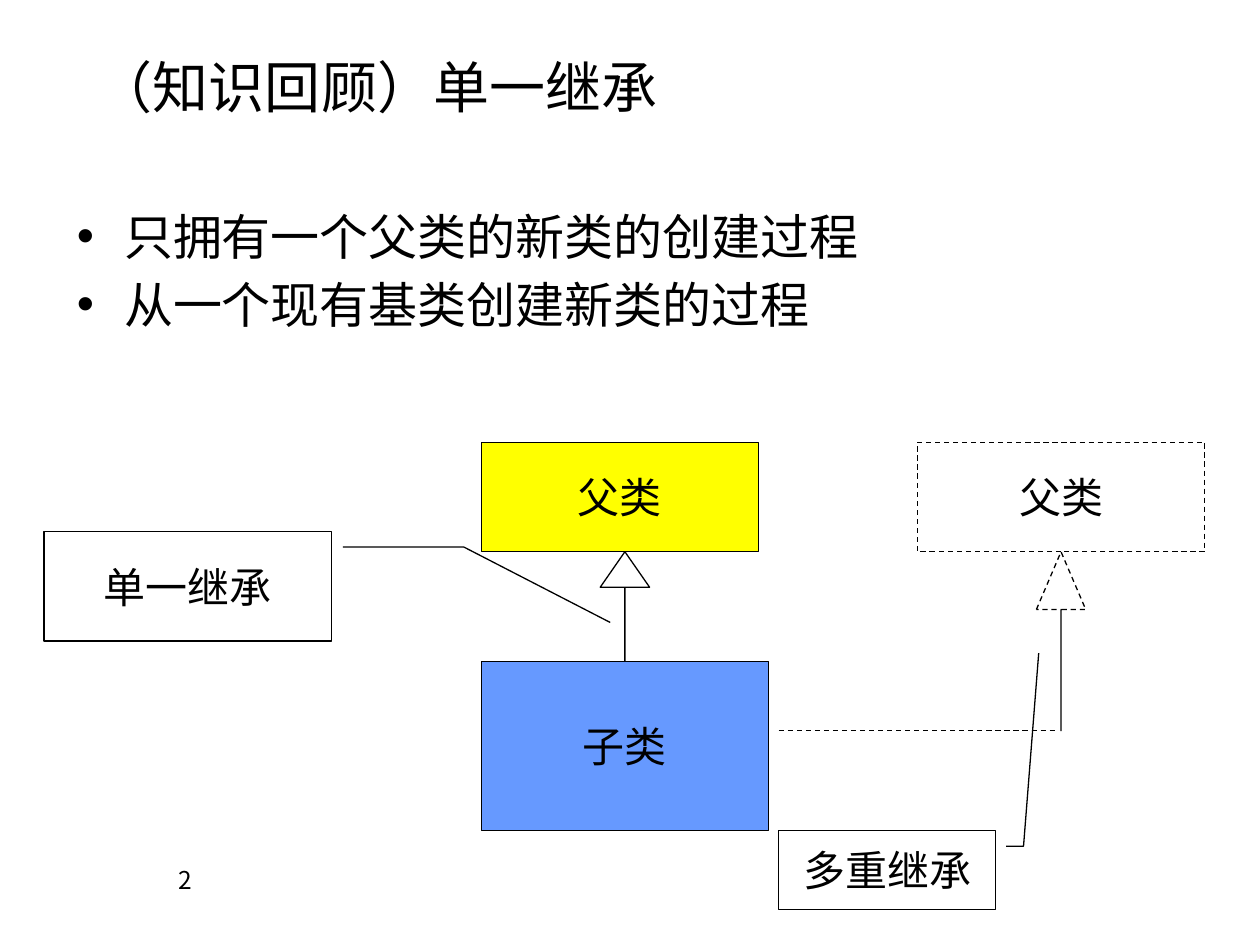
from lxml.etree import SubElement
from pptx import Presentation
from pptx.dml.color import RGBColor
from pptx.enum.dml import MSO_LINE as Dash
from pptx.enum.shapes import MSO_CONNECTOR as Link, MSO_SHAPE as Kind
from pptx.enum.text import MSO_ANCHOR as Anchor, MSO_AUTO_SIZE as Fit, PP_ALIGN as Align
from pptx.oxml.ns import qn
from pptx.util import Pt

BLACK = RGBColor(0, 0, 0)
YELLOW = RGBColor(0xFF, 0xFF, 0)
BLUE = RGBColor(0x66, 0x99, 0xFF)


class Page:
    face = "Noto Sans CJK SC"
    thin = 0.75

    def __init__(self, deck):
        self.slide = deck.slides.add_slide(deck.slide_layouts[1])
        self.shapes = self.slide.shapes

    def style(self, para, size, align):
        para.alignment = align
        for run in para.runs:
            font = run.font
            font.size, font.name = Pt(size), self.face
            font.color.rgb = BLACK
            SubElement(run._r.get_or_add_rPr(), qn("a:ea"), typeface=self.face)

    def place(self, item, left, top, width, height):
        item.left, item.top = Pt(left), Pt(top)
        item.width, item.height = Pt(width), Pt(height)

    def title(self, text, *area):
        item = self.shapes.title
        self.place(item, *area)
        frame = item.text_frame
        frame.text = text
        frame.auto_size, frame.vertical_anchor = Fit.NONE, Anchor.MIDDLE
        self.style(frame.paragraphs[0], 32, Align.LEFT)

    def body(self, lines, *area):
        item = self.slide.placeholders[1]
        self.place(item, *area)
        frame = item.text_frame
        frame.text = "\n".join(lines)
        frame.auto_size, frame.margin_top = Fit.NONE, Pt(6.5)
        for i, para in enumerate(frame.paragraphs):
            props = para._p.get_or_add_pPr()
            props.set("marL", str(Pt(27)))
            props.set("indent", str(Pt(-27)))
            SubElement(props, qn("a:buFont"), typeface="Arial")
            SubElement(props, qn("a:buChar"), char="•")
            para.line_spacing = Pt(33.3)
            para.space_before = Pt(5.6 if i else 0)
            self.style(para, 28, Align.LEFT)

    def note(self, text, *area):
        frame = self.shapes.add_textbox(*map(Pt, area)).text_frame
        frame.word_wrap = True
        frame.text = text
        self.style(frame.paragraphs[0], 14, Align.RIGHT)

    def pen(self, line, dash):
        line.color.rgb, line.width = BLACK, Pt(self.thin)
        if dash:
            line.dash_style = Dash.DASH

    def shape(self, kind, area, text="", fill=None, dash=False, adjust=()):
        item = self.shapes.add_shape(kind, *map(Pt, area))
        item.shadow.inherit = False
        if fill is None:
            item.fill.background()
        else:
            item.fill.solid()
            item.fill.fore_color.rgb = fill
        self.pen(item.line, dash)
        for i, value in enumerate(adjust):
            item.adjustments[i] = value
        if text:
            frame = item.text_frame
            frame.word_wrap, frame.vertical_anchor = False, Anchor.MIDDLE
            frame.text = text
            self.style(frame.paragraphs[0], 24, Align.CENTER)

    def line(self, *ends):
        item = self.shapes.add_connector(Link.STRAIGHT, *map(Pt, ends))
        self.pen(item.line, True)
        SubElement(item._element.spPr, qn("a:effectLst"))


def main():
    deck = Presentation()
    deck.slide_width, deck.slide_height = Pt(720), Pt(540)
    page = Page(deck)

    # Title, list and page number
    page.title("（知识回顾）单一继承", 48.2, 15.1, 617.8, 67.7)
    page.body(["只拥有一个父类的新类的创建过程", "从一个现有基类创建新类的过程"],
              36.7, 111.6, 635, 374.4)
    page.note("2", 14.4, 491, 102.2, 37.4)

    # Class boxes
    left, far, top, wide, high = 275, 524.2, 252.7, 164.2, 62.6
    base, low = top + high, 378
    page.shape(Kind.RECTANGLE, (left, top, 158.4, high), "父类", YELLOW)
    page.shape(Kind.RECTANGLE, (left, low, wide, 96.5), "子类", BLUE)
    page.shape(Kind.RECTANGLE, (far, top, wide, high), "父类", dash=True)

    # Inheritance arrows, centred under each parent
    head, bend = 28.2, 417.6
    for x, end, tip, dash in ((left, low, 0.72, False), (far, bend, 1.17, True)):
        page.shape(Kind.UP_ARROW, (x + (wide - head) / 2, base, head, end - base),
                   dash=dash, adjust=(0, tip))
    page.line(445, bend, 604.1, bend)

    # Callouts
    page.shape(Kind.LINE_CALLOUT_2, (25.2, 303.8, wide, high), "单一继承",
               adjust=(0.14, 1.04, 0.14, 1.46, 0.83, 1.97))
    page.shape(Kind.LINE_CALLOUT_2, (445, 474.5, 123.8, 45.4), "多重继承",
               adjust=(0.2, 1.05, 0.2, 1.13, -2.23, 1.2))

    deck.save("out.pptx")


if __name__ == "__main__":
    main()
